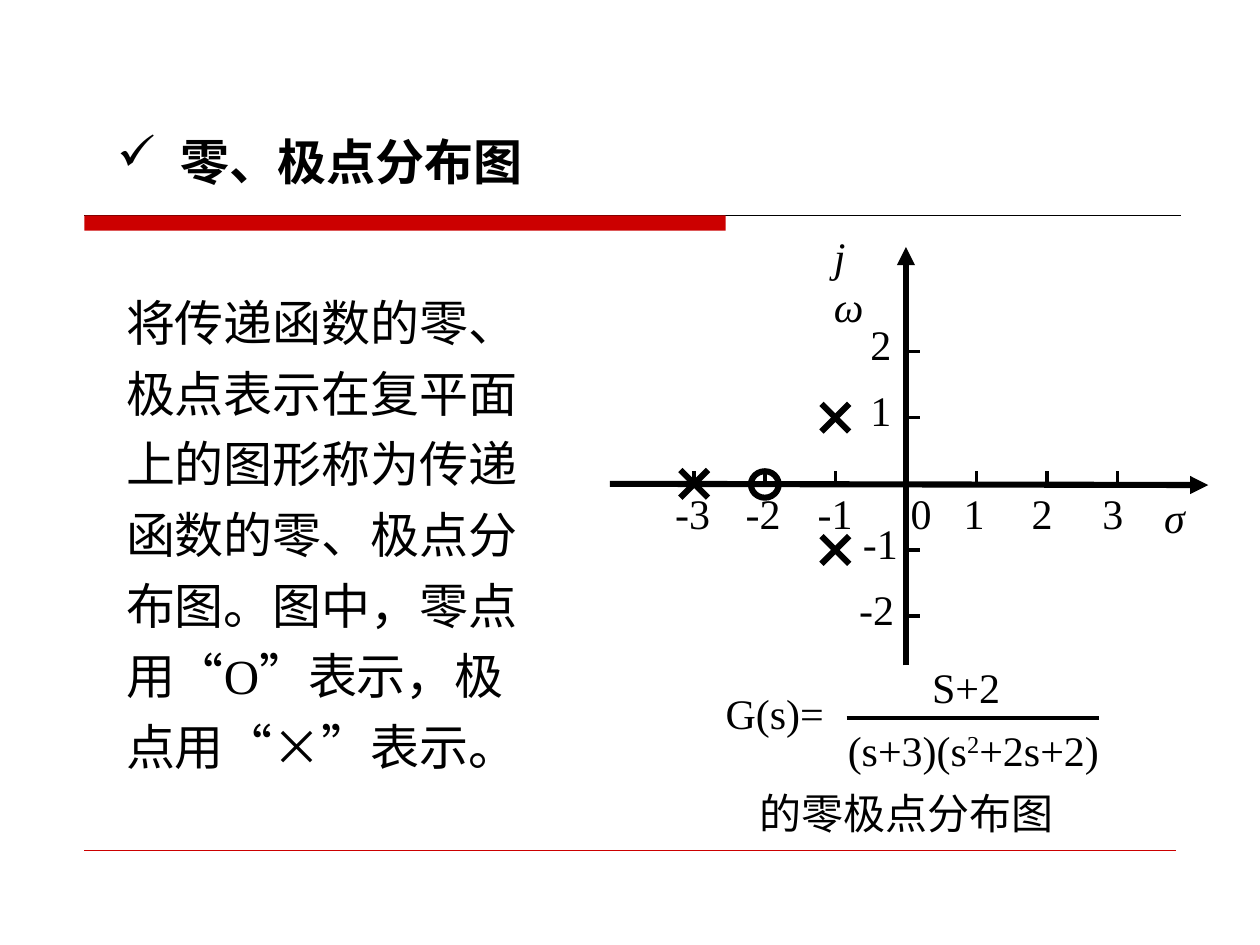
from lxml import etree
from pptx import Presentation, util as u
from pptx.dml.color import RGBColor
from pptx.enum import shapes, text
from pptx.oxml.ns import qn

INK, RED = "000000", "CC0000"
ROMAN, HAN = "Times New Roman", "Noto Sans CJK SC"


def color(value):
    return RGBColor.from_string(value)


def place(shape, left, top, width, height):
    shape.left, shape.top = u.Inches(left), u.Inches(top)
    shape.width, shape.height = u.Inches(width), u.Inches(height)


class SlideWriter:
    def __init__(self, slide, size=24):
        self.slide, self.size = slide, size

    def run(self, paragraph, words, font=ROMAN, size=None, bold=False,
            italic=False, raised=False):
        run = paragraph.add_run()
        run.text = words
        run.font.name = font
        run.font.size = u.Pt(size or self.size)
        run.font.bold, run.font.italic = bold, italic
        run.font.color.rgb = color(INK)
        properties = run.font._element
        east_asian = etree.Element(qn("a:ea"), typeface=HAN)
        properties.find(qn("a:latin")).addnext(east_asian)
        if raised:
            properties.set("baseline", "30000")

    def placeholder(self, shape, box, bullet=None, indent=0):
        place(shape, *box)
        frame = shape.text_frame
        frame.word_wrap = True
        frame.auto_size = text.MSO_AUTO_SIZE.NONE
        frame.vertical_anchor = text.MSO_ANCHOR.TOP
        paragraph = frame.paragraphs[0]
        properties = paragraph._p.get_or_add_pPr()
        properties.set("marL", str(u.Inches(indent)))
        properties.set("indent", str(-u.Inches(indent)))
        if bullet:
            etree.SubElement(properties, qn("a:buChar"), char=bullet)
        else:
            etree.SubElement(properties, qn("a:buNone"))
        paragraph.alignment = text.PP_ALIGN.LEFT
        paragraph.space_before = u.Pt(0)
        return paragraph

    def label(self, left, top, width, words, wrap=False, **style):
        box = self.slide.shapes.add_textbox(
            u.Inches(left), u.Inches(top), u.Inches(width), u.Inches(0.5))
        box.text_frame.word_wrap = wrap
        paragraph = box.text_frame.paragraphs[0]
        if words:
            self.run(paragraph, words, **style)
        return paragraph

    def line(self, x1, y1, x2, y2, width=2, ink=INK, arrow=False):
        line = self.slide.shapes.add_connector(
            shapes.MSO_CONNECTOR.STRAIGHT,
            *(u.Inches(v) for v in (x1, y1, x2, y2)))
        line.line.color.rgb = color(ink)
        line.line.width = u.Pt(width)
        if arrow:
            etree.SubElement(line.line._get_or_add_ln(), qn("a:tailEnd"),
                             type="triangle")
        etree.SubElement(line._element.spPr, qn("a:effectLst"))

    def shape(self, kind, left, top, width, height, fill=None, outline=None):
        shape = self.slide.shapes.add_shape(
            kind, *(u.Inches(v) for v in (left, top, width, height)))
        shape.shadow.inherit = False
        if fill:
            shape.fill.solid()
            shape.fill.fore_color.rgb = color(fill)
        else:
            shape.fill.background()
        if outline:
            shape.line.color.rgb = color(INK)
            shape.line.width = u.Pt(outline)
        else:
            shape.line.fill.background()

    def cross(self, x, y, half=0.11):
        for slope in (-1, 1):
            self.line(x - half, y - slope * half, x + half, y + slope * half, 3.5)


def main():
    deck = Presentation()
    deck.slide_width, deck.slide_height = u.Inches(10), u.Inches(7.5)
    slide = deck.slides.add_slide(deck.slide_layouts[1])
    writer = SlideWriter(slide)

    # Header bar and rules
    writer.line(0.67, 1.71, 9.37, 1.71, 0.75)
    writer.shape(shapes.MSO_SHAPE.RECTANGLE, 0.67, 1.71, 5.09, 0.12, fill=RED)
    writer.line(0.67, 6.75, 9.33, 6.75, 0.25, RED)

    # Title
    title = writer.placeholder(slide.shapes.title, (0.83, 0.99, 5.58, 0.57),
                               bullet="✓", indent=0.5)
    writer.run(title, "零、极点分布图", HAN, 28, bold=True)

    # Definition
    definition = writer.placeholder(slide.placeholders[1], (0.9, 2.18, 3.33, 4.6))
    definition.line_spacing = 1.2
    for words, font in (
            ("将传递函数的零、极点表示在复平面上的图形称为传递函数的零、极点分布图。图中，零点用", HAN),
            ("“O”", ROMAN), ("表示，极点用", HAN), ("“", ROMAN),
            ("×", HAN), ("”", ROMAN), ("表示。", HAN)):
        writer.run(definition, words, font, 28)

    # Transfer function
    writer.label(5.66, 5.41, 0.98, "G(s)=")
    writer.line(6.72, 5.7, 8.72, 5.7)
    writer.label(7.3, 5.2, 0.74, "S+2")
    denominator = writer.label(6.63, 5.7, 2.21, "(s+3)(s")
    writer.run(denominator, "2", raised=True)
    writer.run(denominator, "+2s+2)")
    writer.label(5.93, 6.2, 2.53, "的零极点分布图")

    # Axes
    origin_x, origin_y, unit_x, unit_y = 7.19, 3.84, 0.56, 0.525

    def at(real, imaginary):
        return origin_x + real * unit_x, origin_y - imaginary * unit_y

    writer.line(4.84, origin_y, 9.59, origin_y + 0.01, 3.5, arrow=True)
    writer.line(origin_x, 5.28, origin_x, 1.96, 3.5, arrow=True)
    writer.label(9.14, 3.85, 0.4, "σ", italic=True)
    writer.label(6.52, 1.78, 0.5, "jω", wrap=True, italic=True)

    # Ticks and numbers: value -> left edge of its number
    real_numbers = {-3: 5.26, -2: 5.82, -1: 6.39, 0: 7.13, 1: 7.55, 2: 8.09, 3: 8.65}
    imaginary_numbers = {-2: 6.72, -1: 6.75, 1: 6.81, 2: 6.81}
    for value, left in real_numbers.items():
        x, y = at(value, 0)
        if value:
            writer.line(x, y - 0.1, x, y)
        writer.label(left, 3.82, 0.48 if value < 0 else 0.37, str(value))
    for value, left in imaginary_numbers.items():
        x, y = at(0, value)
        writer.line(x, y, x + 0.11, y)
        writer.label(left, y - 0.31, 0.48 if value < 0 else 0.37, str(value))

    # Zero and poles
    zero_x, zero_y = at(-2, 0)
    writer.shape(shapes.MSO_SHAPE.OVAL, zero_x - 0.11, zero_y - 0.1, 0.22, 0.21,
                 outline=3.5)
    for pole in ((-3, 0), (-1, 1), (-1, -1)):
        writer.cross(*at(*pole))

    deck.save("out.pptx")


if __name__ == "__main__":
    main()
